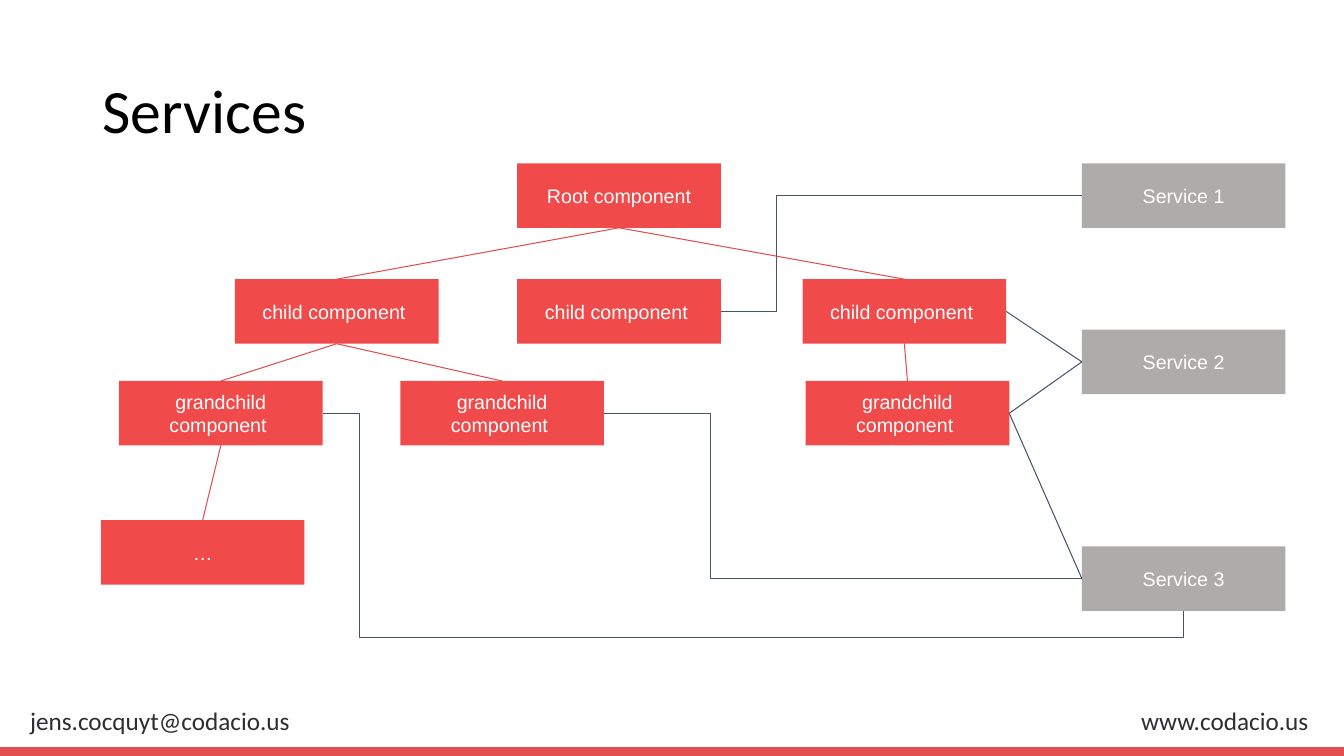
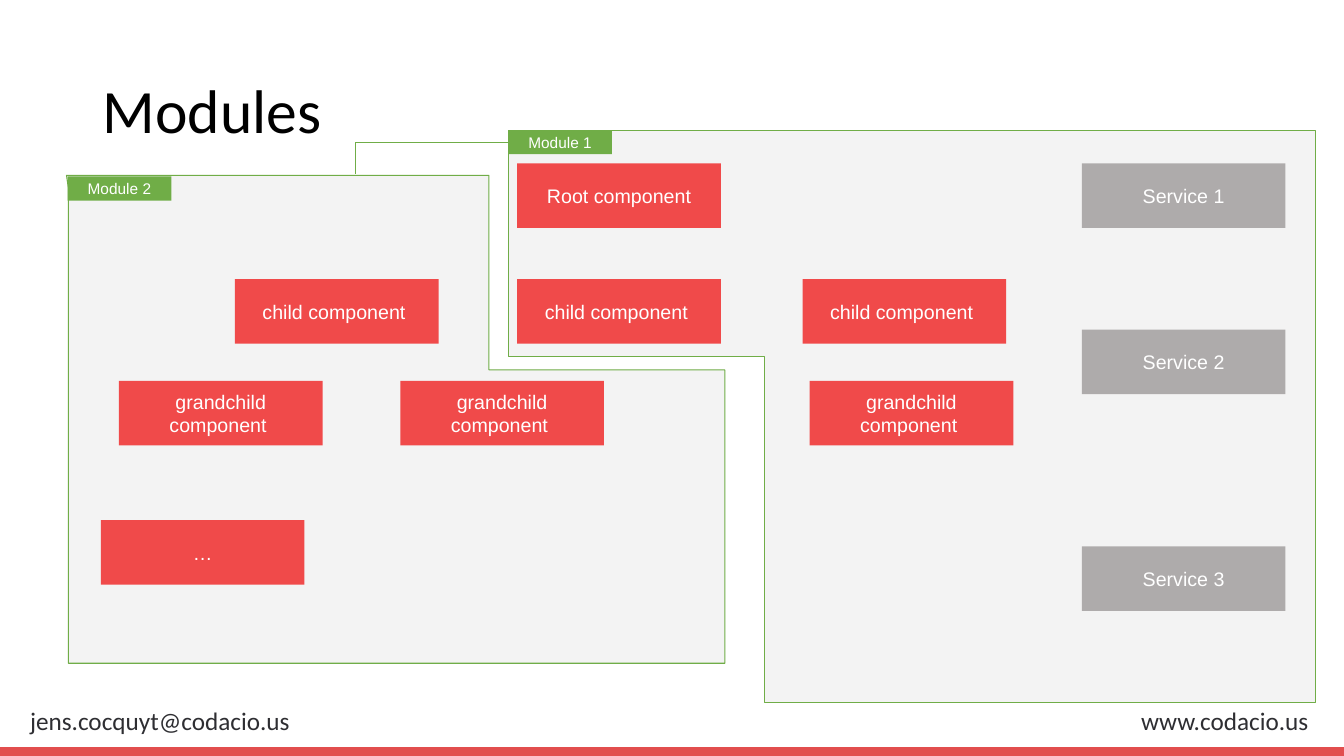
from pptx import Presentation
from pptx.dml.color import RGBColor
from pptx.enum.shapes import MSO_CONNECTOR, MSO_SHAPE
from pptx.enum.text import MSO_ANCHOR, PP_ALIGN
from pptx.oxml.ns import qn
from pptx.util import Inches, Pt
from lxml.etree import SubElement

RED = RGBColor(0xF0, 0x4A, 0x4A)
BRICK = RGBColor(0xE2, 0x4E, 0x4E)
GRAY = RGBColor(0xAE, 0xAB, 0xAB)
PALE = RGBColor(0xF3, 0xF3, 0xF3)
GREEN = RGBColor(0x70, 0xAD, 0x47)
NAVY = RGBColor(0x44, 0x54, 0x6A)
INK = RGBColor(0x2E, 0x2E, 0x32)
BLACK = RGBColor(0, 0, 0)
WHITE = RGBColor(255, 255, 255)

WIDE, HIGH = 13.33, 7.5
BAND = 0.08
BOX = (2.02, 0.64)
TAG = (1.03, 0.24)
ROWS = (1.62, 2.77, 3.78, 5.16)
MID, SIDE = 5.13, 10.73
TOP, LEFT, BOTTOM, RIGHT = range(4)

deck = Presentation()
deck.slide_width, deck.slide_height = Inches(WIDE), Inches(HIGH)


def put(slide, text, x, y, w, h, fill=None, size=14, font="Arial", color=WHITE,
        align=PP_ALIGN.CENTER, anchor=MSO_ANCHOR.MIDDLE, pad=0.1, wrap=True, lead=None):
    place = [Inches(v) for v in (x, y, w, h)]
    if fill is None:
        shape = slide.shapes.add_textbox(*place)
    else:
        shape = slide.shapes.add_shape(MSO_SHAPE.RECTANGLE, *place)
        shape.shadow.inherit = False
        shape.fill.solid()
        shape.fill.fore_color.rgb = fill
        shape.line.fill.background()
    frame = shape.text_frame
    frame.word_wrap = wrap
    frame.vertical_anchor = anchor
    frame.margin_left = frame.margin_right = Inches(0.1)
    frame.margin_top = frame.margin_bottom = Inches(pad)
    para = frame.paragraphs[0]
    para.alignment = align
    para.line_spacing = lead
    if text:
        run = para.add_run()
        run.text = text
        run.font.size, run.font.name = Pt(size), font
        run.font.color.rgb = color
    return shape


def trace(slide, points, fill=None):
    start, *rest = [(Inches(x), Inches(y)) for x, y in points]
    form = slide.shapes.build_freeform(*start)
    form.add_line_segments(rest, close=fill is not None)
    shape = form.convert_to_shape()
    shape.shadow.inherit = False
    if fill is None:
        shape.fill.background()
    else:
        shape.fill.solid()
        shape.fill.fore_color.rgb = fill
    shape.line.color.rgb = GREEN
    shape.line.width = Pt(0.75)


nodes = {
    "root": ("Root component", MID, ROWS[0], RED),
    "kid1": ("child component ", 2.33, ROWS[1], RED),
    "kid2": ("child component ", MID, ROWS[1], RED),
    "kid3": ("child component ", 7.96, ROWS[1], RED),
    "grand1": ("grandchild component ", 1.18, ROWS[2], RED),
    "grand2": ("grandchild component ", 3.97, ROWS[2], RED),
    "grand3": ("grandchild component ", 7.99, ROWS[2], RED),
    "more": ("…", 1, ROWS[3], RED),
    "serve1": ("Service 1", SIDE, ROWS[0], GRAY),
    "serve2": ("Service 2", SIDE, 3.27, GRAY),
    "serve3": ("Service 3", SIDE, 5.42, GRAY),
}
links = [
    ("grand3", RIGHT, "serve3", LEFT, NAVY, ()),
    ("grand3", RIGHT, "serve2", LEFT, NAVY, ()),
    ("kid3", RIGHT, "serve2", LEFT, NAVY, ()),
    ("kid2", RIGHT, "serve1", LEFT, NAVY, (0.155,)),
    ("grand2", RIGHT, "serve3", LEFT, NAVY, (0.223,)),
    ("grand1", RIGHT, "serve3", BOTTOM, NAVY, (0.043, 1.133)),
]
links += [(high, BOTTOM, low, TOP, BRICK, ()) for high, low in (
    ("root", "kid1"), ("root", "kid3"), ("kid1", "grand1"),
    ("kid1", "grand2"), ("kid3", "grand3"), ("grand1", "more"))]
zones = [
    [(5.04, 3.54), (7.58, 3.54), (7.58, 6.97), (13.05, 6.97), (13.05, 1.29), (5.04, 1.29)],
    [(0.68, 1.87), (0.68, 6.58), (7.19, 6.58), (7.19, 3.67),
     (4.85, 3.67), (4.85, 1.74), (0.66, 1.74)],
]

for title in ("Services", "Modules"):
    split = title == "Modules"
    slide = deck.slides.add_slide(deck.slide_layouts[6])
    band = put(slide, "", 0, HIGH - BAND, WIDE, BAND, fill=BRICK)
    band.line.color.rgb = BRICK
    band.line.width = Pt(1)
    for text, x, w in (("jens.cocquyt@codacio.us", 0.2, 2.8), ("www.codacio.us", 11.22, 1.87)):
        put(slide, text, x, 6.95, w, 0.4, size=18, font="Calibri", color=INK,
            align=PP_ALIGN.LEFT, anchor=MSO_ANCHOR.TOP, pad=0.05, wrap=False)
    if split:
        for zone in zones:
            trace(slide, zone, PALE)
    put(slide, title, 0.92, 0.4, 11.5, 1.45, size=44, font="Calibri", color=BLACK,
        align=PP_ALIGN.LEFT, pad=0.05, lead=0.9)

    boxes = {}
    for key, (text, x, y, fill) in nodes.items():
        shift = 0.04 if split and key == "grand3" else 0
        boxes[key] = put(slide, text, x + shift, y, *BOX, fill=fill)

    if split:
        for text, x, y in (("Module 2", 0.67, 1.75), ("Module 1", 5.04, 1.29)):
            put(slide, text, x, y, *TAG, fill=GREEN, size=11)
        trace(slide, [(5.05, 1.41), (3.53, 1.41), (3.53, 1.73)])
        continue

    for head, exit, tail, entry, color, bends in links:
        kind = MSO_CONNECTOR.ELBOW if bends else MSO_CONNECTOR.STRAIGHT
        line = slide.shapes.add_connector(kind, 0, 0, 0, 0)
        line.begin_connect(boxes[head], exit)
        line.end_connect(boxes[tail], entry)
        line.line.color.rgb = color
        line.line.width = Pt(0.75)
        props = line.element.spPr
        SubElement(props, qn("a:effectLst"))
        if bends:
            shape = props.find(qn("a:prstGeom"))
            shape.set("prst", f"bentConnector{len(bends) + 2}")
            guides = shape.find(qn("a:avLst"))
            for spot, share in enumerate(bends, 1):
                SubElement(guides, qn("a:gd"), name=f"adj{spot}",
                           fmla=f"val {round(share * 100000)}")

deck.save("out.pptx")
